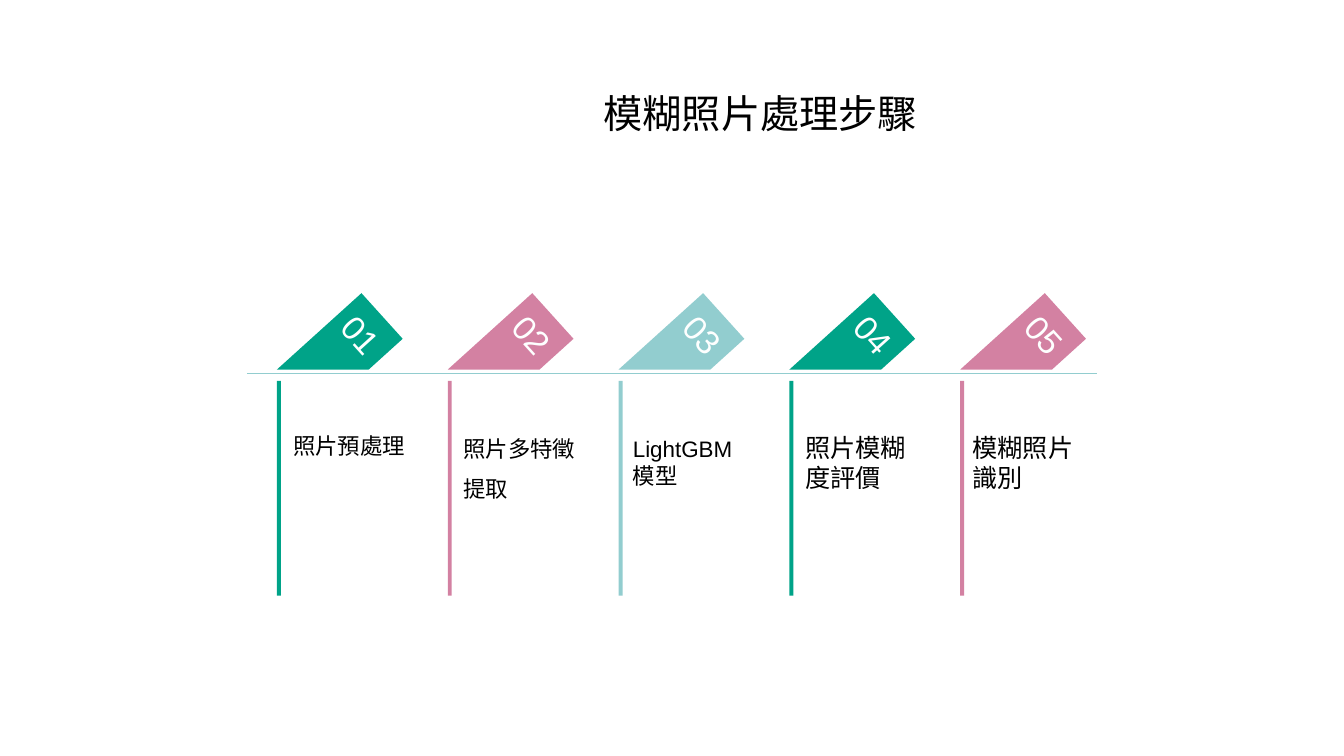
from collections import namedtuple

from lxml.etree import SubElement
from pptx import Presentation
from pptx.dml.color import RGBColor
from pptx.enum.shapes import MSO_CONNECTOR as CONNECTOR, MSO_SHAPE as SHAPE
from pptx.enum.text import MSO_ANCHOR as ANCHOR, MSO_AUTO_SIZE as AUTO_SIZE, PP_ALIGN as ALIGN
from pptx.oxml.ns import qn
from pptx.util import Cm, Pt

GREEN = RGBColor(0x00, 0xA3, 0x88)
PINK = RGBColor(0xD3, 0x81, 0xA2)
AQUA = RGBColor(0x92, 0xCD, 0xCF)
BLACK = RGBColor(0x00, 0x00, 0x00)
NEAR_WHITE = RGBColor(0xFE, 0xFF, 0xFF)
FONT = "Arial"

FIRST_BAR, STEP_PITCH = 6.98, 4.305
BAR_TOP = Cm(9.6)
FLAG_WIDTH, FLAG_HEIGHT, FLAG_SHORT_SIDE = Cm(1.55), Cm(2.87), Cm(1.16)

Step = namedtuple("Step", "caption color left top height size spacing")
STEPS = [
    Step("照片預處理", GREEN, 7.14, 9.6, 2.92, 16, 1.5),
    Step("照片多特徵提取", PINK, 11.43, 8.94, 5.41, 16, 1.5),
    Step("LightGBM\n模型", AQUA, 15.7, 8.94, 5.41, 16, 1),
    Step("照片模糊度評價", GREEN, 20.04, 8.94, 5.41, 18, 1),
    Step("模糊照片識別", PINK, 24.26, 8.94, 5.41, 18, 1),
]


def format_text(frame, size, color, align=ALIGN.LEFT, spacing=1):
    for paragraph in frame.paragraphs:
        paragraph.alignment = align
        paragraph.line_spacing = spacing
        for run in paragraph.runs:
            run.font.name = FONT
            run.font.size = Pt(size)
            run.font.color.rgb = color


def paint(shape, color):
    shape.shadow.inherit = False
    shape.fill.solid()
    shape.fill.fore_color.rgb = color
    shape.line.fill.background()


def add_title(slide, text):
    title = slide.shapes.title
    title.left, title.top, title.width, title.height = Cm(14.96), Cm(2.13), Cm(8.48), Cm(1.45)
    frame = title.text_frame
    frame.text = text
    frame.word_wrap = False
    frame.auto_size = AUTO_SIZE.SHAPE_TO_FIT_TEXT
    frame.vertical_anchor = ANCHOR.TOP
    format_text(frame, 28, BLACK)


def add_timeline(slide):
    y = Cm(9.42)
    timeline = slide.shapes.add_connector(CONNECTOR.STRAIGHT, Cm(6.22), y, Cm(27.64), y)
    timeline.line.color.rgb = AQUA
    timeline.line.width = Pt(0.5)
    SubElement(timeline._element.spPr, qn("a:effectLst"))


def add_flag(slide, number, bar_left, color):
    """A slanted tab, drawn upright and then turned to stand on the timeline."""
    left, top = bar_left + Cm(0.81), Cm(7.49)
    right = left + FLAG_WIDTH
    outline = slide.shapes.build_freeform(left, top)
    outline.add_line_segments(
        [(right, top), (right, top + FLAG_SHORT_SIDE), (left, top + FLAG_HEIGHT)])
    flag = outline.convert_to_shape()
    flag.rotation = 47.9
    paint(flag, color)
    frame = flag.text_frame
    frame.text = f"{number:02}"
    frame.margin_left = frame.margin_right = frame.margin_bottom = 0
    frame.margin_top = Cm(0.2)
    frame.vertical_anchor = ANCHOR.TOP
    format_text(frame, 24, NEAR_WHITE, ALIGN.CENTER)


def add_bar(slide, bar_left, color):
    bar = slide.shapes.add_shape(SHAPE.RECTANGLE, bar_left, BAR_TOP, Cm(0.1), Cm(5.41))
    paint(bar, color)


def add_caption(slide, step):
    caption = slide.shapes.add_textbox(Cm(step.left), Cm(step.top), Cm(3.51), Cm(step.height))
    frame = caption.text_frame
    frame.text = step.caption
    frame.word_wrap = True
    frame.vertical_anchor = ANCHOR.MIDDLE
    format_text(frame, step.size, BLACK, spacing=step.spacing)


def main():
    deck = Presentation()
    deck.slide_width, deck.slide_height = Cm(33.87), Cm(19.05)
    slide = deck.slides.add_slide(deck.slide_layouts[5])

    # Heading and timeline
    add_title(slide, "模糊照片處理步驟")
    add_timeline(slide)

    # The five processing steps
    for index, step in enumerate(STEPS):
        bar_left = Cm(FIRST_BAR + index * STEP_PITCH)
        add_flag(slide, index + 1, bar_left, step.color)
        add_bar(slide, bar_left, step.color)
        add_caption(slide, step)

    deck.save("out.pptx")


if __name__ == "__main__":
    main()
